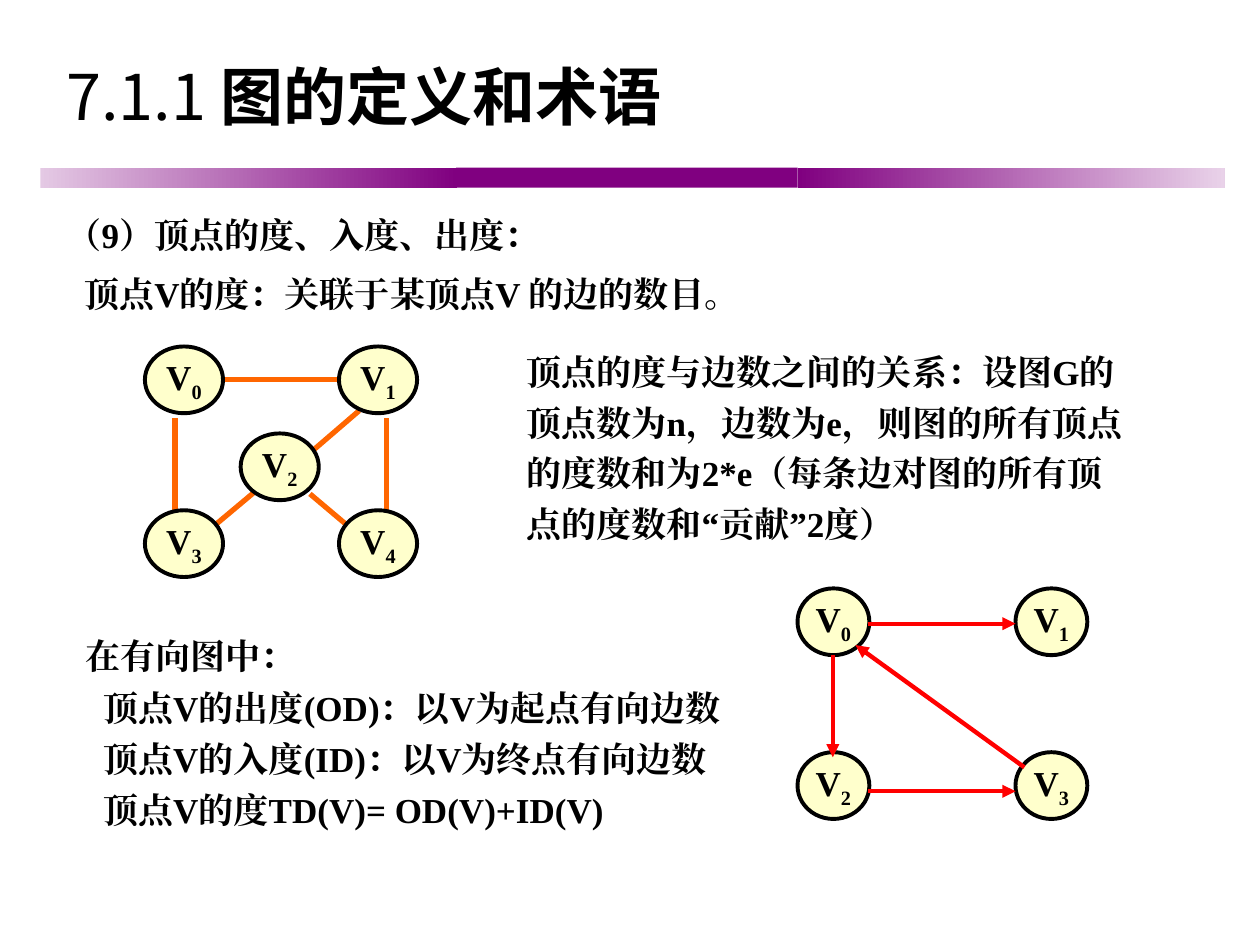
from dataclasses import dataclass

from lxml import etree
from pptx import Presentation
from pptx.dml.color import RGBColor
from pptx.enum.shapes import MSO_CONNECTOR, MSO_SHAPE
from pptx.enum.text import MSO_ANCHOR, PP_ALIGN
from pptx.oxml.ns import qn
from pptx.slide import Slide
from pptx.util import Inches, Pt

STRAIGHT = MSO_CONNECTOR.STRAIGHT
RECTANGLE, OVAL = MSO_SHAPE.RECTANGLE, MSO_SHAPE.OVAL
TOP, MIDDLE = MSO_ANCHOR.TOP, MSO_ANCHOR.MIDDLE
LEFT, CENTER = PP_ALIGN.LEFT, PP_ALIGN.CENTER
WIDTH, HEIGHT = 10, 7.5
COLUMNS, ROWS = 100, 75
SERIF, SANS = "Times New Roman", "Noto Sans CJK JP"


def color(code):
    """Turn a hex string into a colour."""
    return RGBColor.from_string(code)


def add_text(para, text, size=20, font=SERIF, ink="000000", bold=True, baseline=0):
    """Append formatted text to a paragraph."""
    span = para.add_run()
    span.text = text
    span.font.size, span.font.bold, span.font.name = Pt(size), bold, font
    span.font.color.rgb = color(ink)
    properties = span.font._element
    etree.SubElement(properties, qn("a:ea")).set("typeface", font)
    if baseline:
        properties.set("baseline", str(baseline * 1000))


@dataclass
class Page:
    """Hold the style and the current slide, measured in grid columns and rows."""

    slide: Slide
    node_fill: str = "FFFFCC"
    node_line: str = "000000"
    accent: str = "800080"

    def place(self, column, row):
        """Convert grid columns and rows to lengths."""
        return Inches(column * WIDTH / COLUMNS), Inches(row * HEIGHT / ROWS)

    def shape(self, kind, column, row, columns, rows):
        """Add a preset shape without a shadow."""
        box = self.slide.shapes.add_shape(
            kind, *self.place(column, row), *self.place(columns, rows))
        box.shadow.inherit = False
        return box

    def band(self, column, columns, start, end):
        """Add one part of the divider, shaded from start to end."""
        box = self.shape(RECTANGLE, column, 13.3, columns, 1.6)
        box.line.fill.background()
        if start == end:
            box.fill.solid()
            box.fill.fore_color.rgb = color(start)
            return
        box.fill.gradient()
        box.fill.gradient_angle = 0
        for stop, code in zip(box.fill.gradient_stops, (start, end)):
            stop.color.rgb = color(code)

    def text_box(self, column, row, columns, rows, anchor=TOP):
        """Add an empty wrapping text box and return its frame."""
        frame = self.slide.shapes.add_textbox(
            *self.place(column, row), *self.place(columns, rows)).text_frame
        frame.word_wrap, frame.vertical_anchor = True, anchor
        return frame

    def paragraphs(self, frame, lines, spacing, before=0):
        """Fill a frame with pairs of text and indent."""
        for number, (text, indent) in enumerate(lines):
            para = frame.add_paragraph() if number else frame.paragraphs[0]
            para.line_spacing, para.alignment = spacing, LEFT
            para.space_before = Pt(before if number else 0)
            if indent:
                properties = para._p.get_or_add_pPr()
                properties.set("marL", str(self.place(indent, 0)[0]))
                properties.set("indent", "0")
            add_text(para, text)

    def vertex(self, number, column, row, columns):
        """Add a labelled vertex of a graph."""
        node = self.shape(OVAL, column, row, columns, 5.3)
        node.fill.solid()
        node.fill.fore_color.rgb = color(self.node_fill)
        node.line.color.rgb, node.line.width = color(self.node_line), Pt(2.25)
        frame = node.text_frame
        frame.word_wrap, frame.vertical_anchor = False, MIDDLE
        para = frame.paragraphs[0]
        para.alignment = CENTER
        add_text(para, "V")
        add_text(para, str(number), baseline=-25)

    def edge(self, start, end, ink, width, arrow=False):
        """Add an edge, with an arrowhead at its end if directed."""
        link = self.slide.shapes.add_connector(
            STRAIGHT, *self.place(*start), *self.place(*end))
        link.line.color.rgb, link.line.width = color(ink), Pt(width)
        if arrow:
            outline = link.line._get_or_add_ln()
            etree.SubElement(outline, qn("a:tailEnd")).set("type", "triangle")
        etree.SubElement(link._element.spPr, qn("a:effectLst"))


def draw_header(page):
    """Draw the title and the divider."""
    page.band(3.2, 33.1, "E4C9E4", page.accent)
    page.band(36.2, 27.1, page.accent, page.accent)
    page.band(63.3, 33.9, page.accent, "E9D2E9")
    title = page.text_box(4.3, 3.6, 90.6, 8, MIDDLE).paragraphs[0]
    add_text(title, "7.1.1 ", size=36, font=SANS, bold=False)
    add_text(title, "图的定义和术语", size=36, font=SANS)


def draw_undirected_graph(page):
    """Draw the undirected graph."""
    edges = [((13.9, 33.2), (13.9, 40.7)), ((17.6, 30.1), (27.8, 30.1)),
             ((30.7, 33.2), (30.7, 40.7)), ((20.5, 38.8), (16.8, 41.9)),
             ((28.5, 32.6), (24.9, 35.7)), ((24.6, 39.2), (27.8, 41.9))]
    for start, end in edges:
        page.edge(start, end, "FF6600", 3)
    left, right, top, bottom = 11.5, 26.9, 27.5, 40.5
    spots = [(left, top), (right, top), (19.1, 34.4), (left, bottom), (right, bottom)]
    for number, (column, row) in enumerate(spots):
        page.vertex(number, column, row, 6.2)


def draw_directed_graph(page):
    """Draw the directed graph."""
    for number in range(4):
        page.vertex(number, 63.3 + number % 2 * 17.3, 46.7 + number // 2 * 13, 5.7)
    edges = [((68.9, 49.5), (80.6, 49.5)), ((68.9, 62.8), (80.6, 62.8)),
             ((66.1, 52), (66.1, 60.1)), ((81.3, 60.9), (67.9, 51.2))]
    for start, end in edges:
        page.edge(start, end, "FF0000", 2.5, arrow=True)


def main():
    """Build and save the deck."""
    deck = Presentation()
    deck.slide_width, deck.slide_height = Inches(WIDTH), Inches(HEIGHT)
    page = Page(deck.slides.add_slide(deck.slide_layouts[6]))
    draw_header(page)
    page.paragraphs(page.text_box(4.3, 15.8, 92.1, 10.8), [
        ("（9）顶点的度、入度、出度：", 0),
        ("顶点V的度：关联于某顶点V 的边的数目。", 1.4),
    ], spacing=1.2, before=5)
    draw_undirected_graph(page)
    page.paragraphs(page.text_box(40.8, 26.7, 50, 17), [
        ("顶点的度与边数之间的关系：设图G的顶点数为n，边数为e，则图的所有顶点的度数和为2*e"
         "（每条边对图的所有顶点的度数和“贡献”2度）", 0),
    ], spacing=1.2)
    draw_directed_graph(page)
    page.paragraphs(page.text_box(5.8, 50.8, 56.7, 15.6), [
        ("在有向图中：", 0),
        ("顶点V的出度(OD)：以V为起点有向边数", 1.4),
        ("顶点V的入度(ID)：以V为终点有向边数", 1.4),
        ("顶点V的度TD(V)= OD(V)+ID(V)", 1.4),
    ], spacing=0.7, before=12.5)
    deck.save("out.pptx")


if __name__ == "__main__":
    main()
